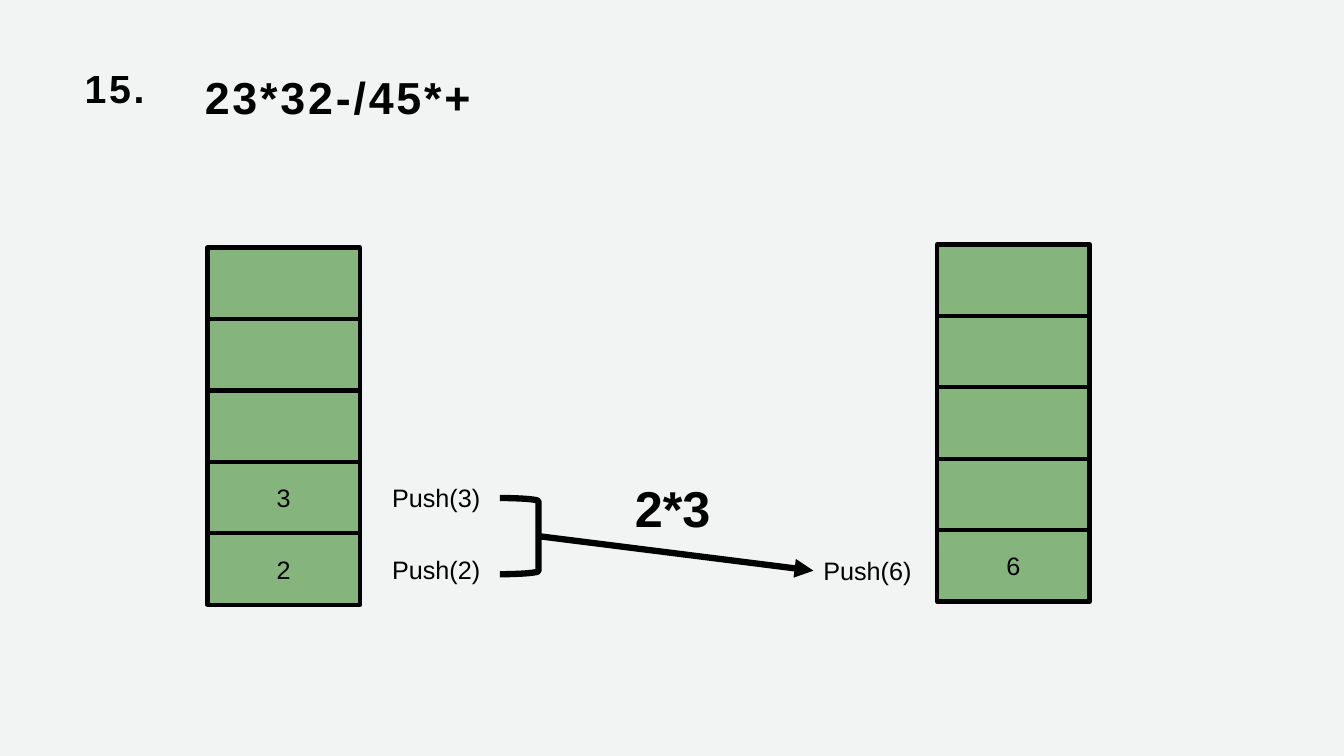
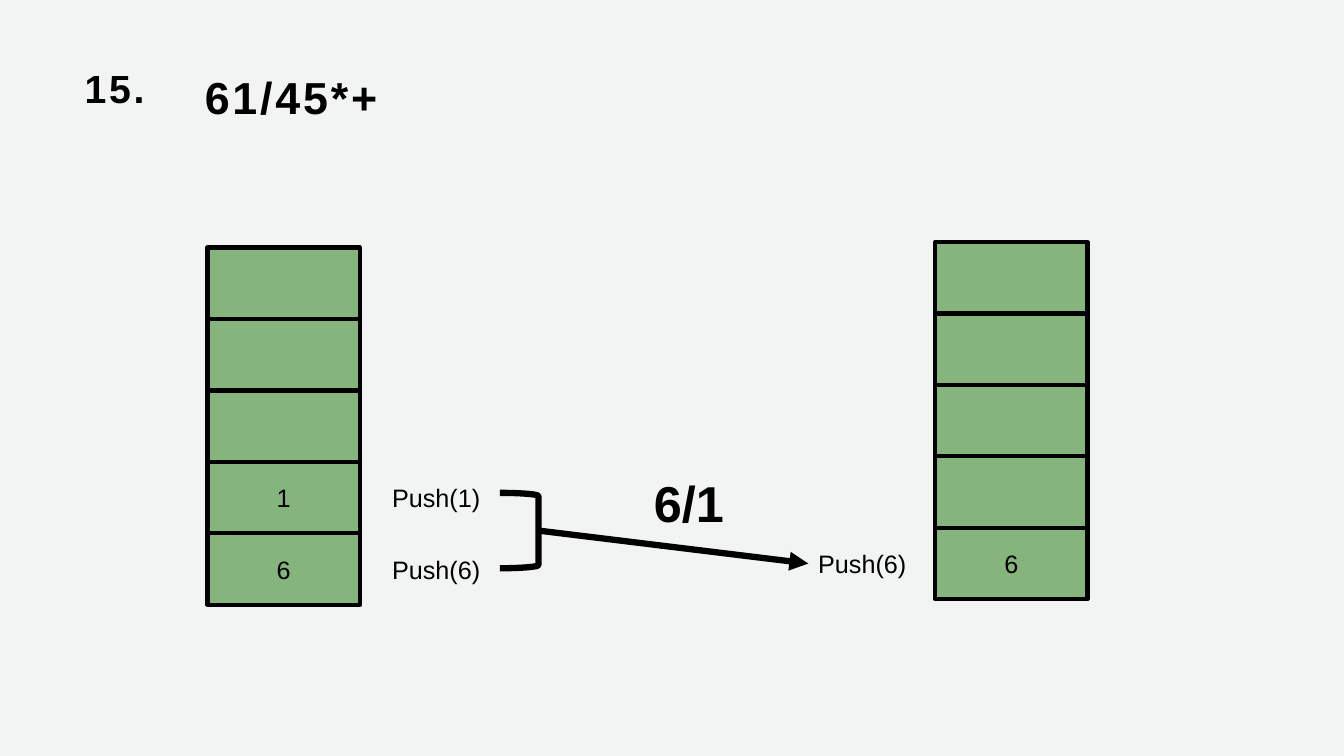
import pptx
import pptx.util
import pptx.dml.color
import pptx.enum.shapes
import pptx.enum.text
import pptx.oxml.ns
from lxml import etree

Cm = pptx.util.Cm
Pt = pptx.util.Pt
Align = pptx.enum.text.PP_ALIGN
Anchor = pptx.enum.text.MSO_ANCHOR
Shape = pptx.enum.shapes.MSO_SHAPE
qn = pptx.oxml.ns.qn

BLACK = pptx.dml.color.RGBColor(0x00, 0x00, 0x00)
GREEN = pptx.dml.color.RGBColor(0x85, 0xB5, 0x7C)
PALE = pptx.dml.color.RGBColor(0xF2, 0xF3, 0xF3)

CELLS = 5
CELL_W = 3.84
CELL_H = 1.8

STEPS = [
    {
        "term": "23*32-/45*+",
        "left": ["2", "3"],
        "sum": ("2*3", 15.75, 11.89),
        "push": (20.5, 13.87),
        "right": (23.62, 6.16),
        "hook": (12.55, 1.92),
    },
    {
        "term": "61/45*+",
        "left": ["6", "1"],
        "sum": ("6/1", 16.23, 11.76),
        "push": (20.37, 13.69),
        "right": (23.57, 6.1),
        "hook": (12.42, 1.9),
    },
]


def write(frame, text, size, bold=False, align=Align.LEFT):
    para = frame.paragraphs[0]
    para.text = text
    para.alignment = align
    para.font.name = "Arial"
    para.font.size = Pt(size)
    para.font.bold = bold
    para.font.color.rgb = BLACK
    return para


def label(slide, left, top, width, height, text, size, bold=False):
    box = slide.shapes.add_textbox(Cm(left), Cm(top), Cm(width), Cm(height))
    box.text_frame.word_wrap = True
    write(box.text_frame, text, size, bold)
    return box


deck = pptx.Presentation()
deck.slide_width = Cm(33.87)
deck.slide_height = Cm(19.05)
back = deck.slide_master.background.fill
back.solid()
back.fore_color.rgb = PALE

for step in STEPS:
    slide = deck.slides.add_slide(deck.slide_layouts[1])

    heads = [
        (slide.shapes.title, "15.", 28, 1.2, Anchor.MIDDLE, (1.85, 1.19, 30.15, 1.8)),
        (slide.placeholders[1], step["term"], 32, 1.1, Anchor.TOP, (4.88, 1.52, 18.69, 1.57)),
    ]
    for head, text, size, space, anchor, place in heads:
        head.left, head.top, head.width, head.height = [Cm(n) for n in place]
        frame = head.text_frame
        frame.auto_size = pptx.enum.text.MSO_AUTO_SIZE.NONE
        frame.vertical_anchor = anchor
        frame.margin_left, frame.margin_right = Cm(0.28), Cm(0.2)
        frame.margin_top = frame.margin_bottom = Cm(0.1)
        props = frame.paragraphs[0]._p.get_or_add_pPr()
        props.set("marL", "0")
        props.set("indent", "0")
        etree.SubElement(props, qn("a:buNone"))
        para = write(frame, text, size, True)
        para.space_before = Pt(0)
        para.line_spacing = space
        para.runs[0]._r.get_or_add_rPr().set("spc", "200")

    stacks = [(5.23, 6.24, step["left"]), (*step["right"], ["6"])]
    for left, top, items in stacks:
        for i in range(CELLS):
            y = top + (CELLS - 1 - i) * CELL_H
            cell = slide.shapes.add_shape(
                Shape.RECTANGLE, Cm(left), Cm(y), Cm(CELL_W), Cm(CELL_H))
            cell.shadow.inherit = False
            cell.fill.solid()
            cell.fill.fore_color.rgb = GREEN
            cell.line.color.rgb = BLACK
            cell.line.width = Pt(3)
            if i < len(items):
                cell.text_frame.vertical_anchor = Anchor.MIDDLE
                write(cell.text_frame, items[i], 18, align=Align.CENTER)

    for i, item in enumerate(step["left"]):
        label(slide, 9.63, 13.84 - i * CELL_H, 2.87, 1.02, f"Push({item})", 18)
    push = label(slide, *step["push"], 2.87, 1.02, "Push(6)", 18)
    text, left, top = step["sum"]
    label(slide, left, top, 2.59, 1.8, text, 36, True)

    top, height = step["hook"]
    hook = slide.shapes.add_shape(
        Shape.RIGHT_BRACKET, Cm(12.6), Cm(top), Cm(0.97), Cm(height))
    hook.shadow.inherit = False
    hook.fill.background()

    arrow = slide.shapes.add_connector(
        pptx.enum.shapes.MSO_CONNECTOR.STRAIGHT,
        Cm(13.57), Cm(top + height / 2), push.left, push.top + push.height // 2)
    arrow.end_connect(push, 1)
    for mark in (hook, arrow):
        mark.line.color.rgb = BLACK
        mark.line.width = Pt(4.5)
    etree.SubElement(arrow.line._get_or_add_ln(), qn("a:tailEnd"), type="triangle")
    etree.SubElement(arrow._element.spPr, qn("a:effectLst"))

deck.save("out.pptx")
